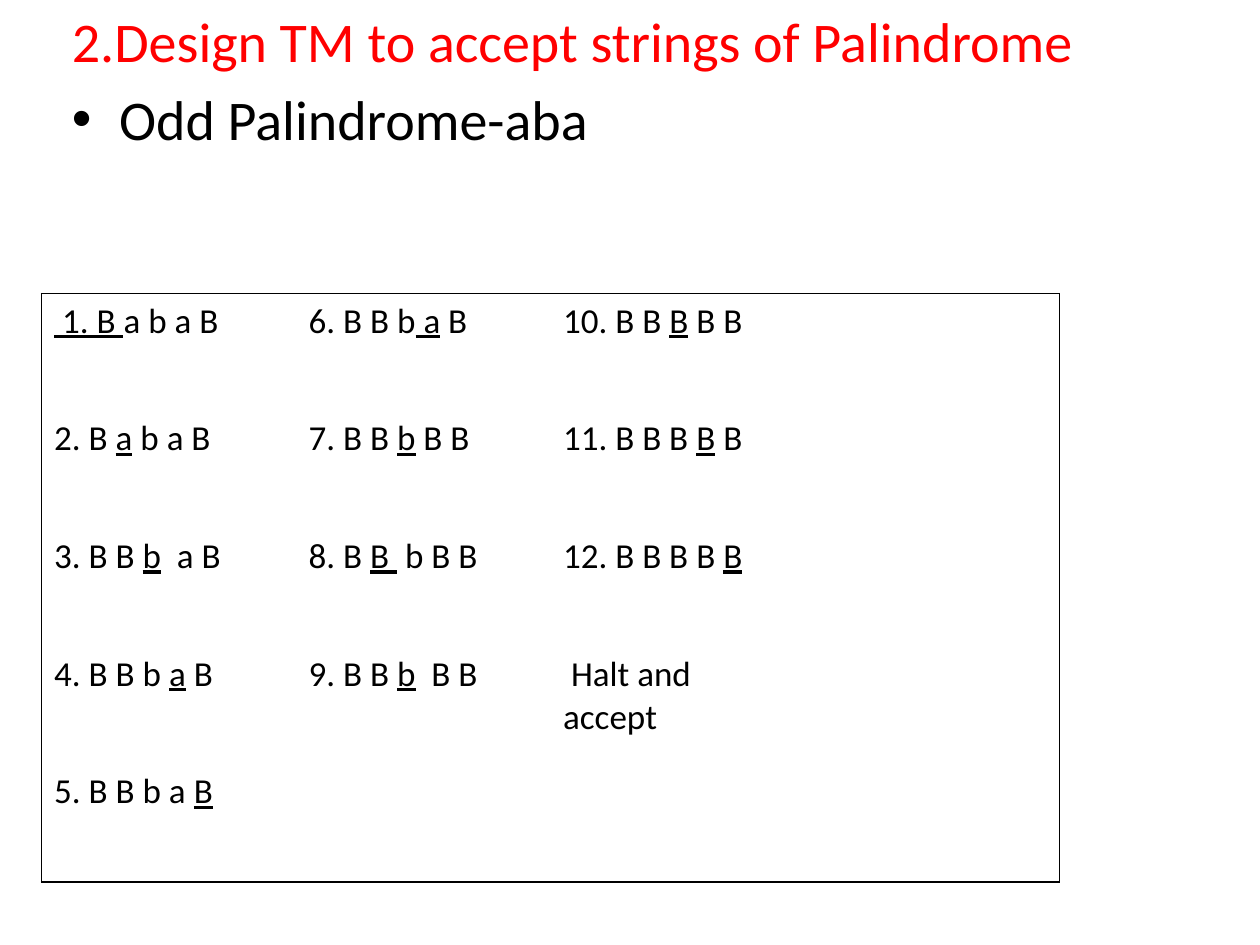
from lxml import etree
from pptx import Presentation, util as u
from pptx.dml.color import RGBColor
from pptx.oxml import ns

STEPS = [
    ["_ 1. B _a b a B", "6. B B b_ a_ B", "10. B B _B_ B B", ""],
    ["2. B _a_ b a B", "7. B B _b_ B B", "11. B B B _B_ B", ""],
    ["3. B B _b_  a B", "8. B _B _ b B B", "12. B B B B _B_", ""],
    ["4. B B b _a_ B", "9. B B _b_  B B", " Halt and accept", ""],
    ["5. B B b a _B_", "", "", ""],
]


def color(code):
    return RGBColor.from_string(code)


class Deck:
    ink, red, face = "000000", "FF0000", "Calibri"

    def __init__(self):
        self.prs = Presentation()
        self.prs.slide_width, self.prs.slide_height = u.Inches(10), u.Inches(7.5)
        self.slide = self.prs.slides.add_slide(self.prs.slide_layouts[1])
        title = self.slide.shapes.title.element
        title.getparent().remove(title)

    def style(self, font, code, **form):
        font.color.rgb = color(code)
        for name, value in {"name": self.face, **form}.items():
            setattr(font, name, value)

    def body(self, head, point):
        """Fill the body placeholder with a plain heading and one bullet."""
        box = self.slide.placeholders[1]
        place = dict(left=0.47, top=0, width=9, height=6.7)
        for name, value in place.items():
            setattr(box, name, u.Inches(value))
        frame = box.text_frame
        first, second = frame.paragraphs[0], frame.add_paragraph()
        props = first._p.get_or_add_pPr()
        props.set("marL", "0")
        props.set("indent", "0")
        etree.SubElement(props, ns.qn("a:buNone"))
        first.space_before = u.Pt(0)
        for para, words, code in ((first, head, self.red), (second, point, self.ink)):
            run = para.add_run()
            run.text = words
            self.style(run.font, code, size=u.Pt(32))

    def border(self, cell, sides):
        """Draw the named sides of a cell and hide the others."""
        props = cell._tc.get_or_add_tcPr()
        for spot, side in enumerate("LRTB"):
            line = etree.Element(ns.qn(f"a:ln{side}"), w=str(u.Pt(1)))
            if side in sides:
                fill = etree.SubElement(line, ns.qn("a:solidFill"))
                etree.SubElement(fill, ns.qn("a:srgbClr"), val=self.ink)
            else:
                etree.SubElement(line, ns.qn("a:noFill"))
            props.insert(spot, line)

    def label(self, cell, words):
        """Set text in which a pair of _ marks the underlined part."""
        para = cell.text_frame.paragraphs[0]
        for spot, part in enumerate(words.split("_")):
            if part:
                run = para.add_run()
                run.text = part
                self.style(run.font, self.ink, size=u.Pt(20), underline=spot % 2 == 1)

    def table(self, rows, left, top, width, height):
        high, wide = len(rows), len(rows[0])
        place = map(u.Inches, (left, top, width, height))
        grid = self.slide.shapes.add_table(high, wide, *place).table
        grid.first_row = grid.horz_banding = False
        for y, row in enumerate(rows):
            for x, words in enumerate(row):
                cell = grid.cell(y, x)
                cell.fill.background()
                edges = {"L": x == 0, "R": x == wide - 1, "T": y == 0, "B": y == high - 1}
                self.border(cell, [side for side, on in edges.items() if on])
                self.label(cell, words)


def main():
    deck = Deck()
    deck.body("2.Design TM to accept strings of Palindrome", "Odd Palindrome-aba")
    deck.table(STEPS, 0.33, 2.33, 8.08, 4.67)
    deck.prs.save("out.pptx")


if __name__ == "__main__":
    main()
